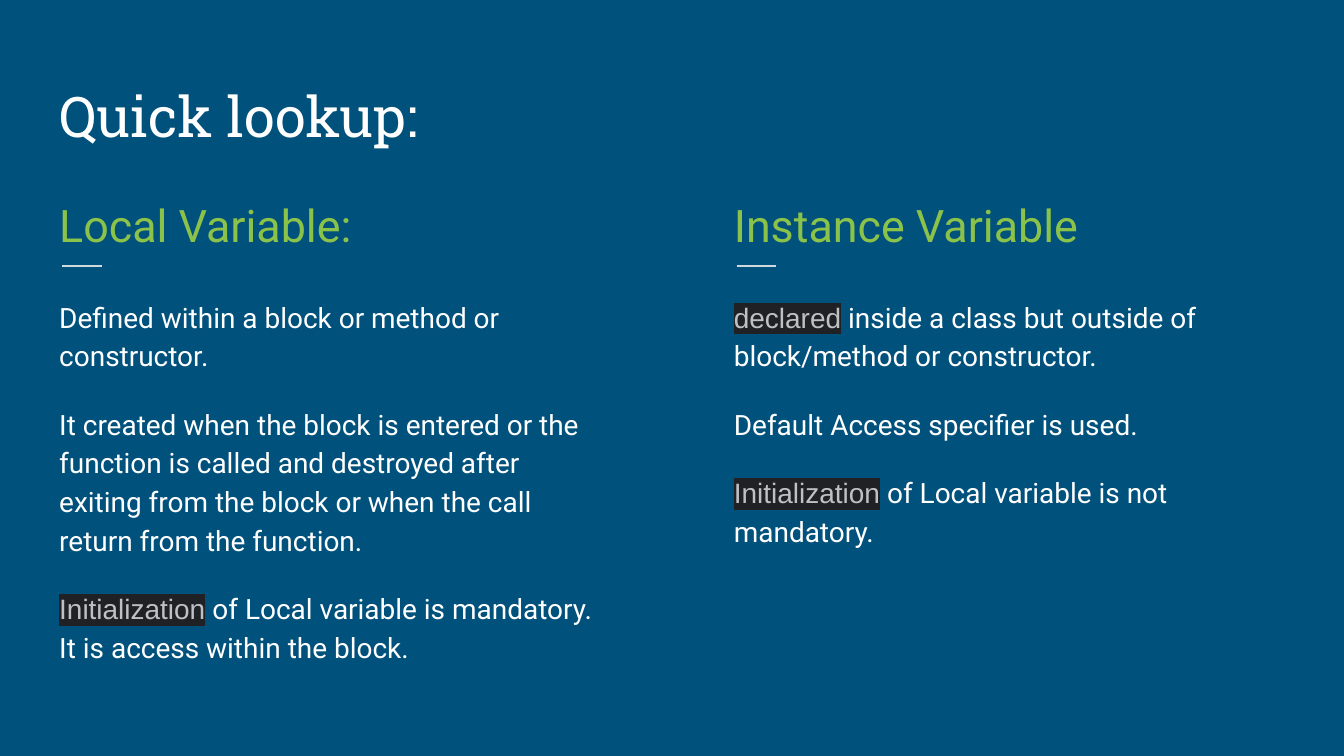
"""Build a slide that compares local and instance variables."""
import pptx
import pptx.dml.color
import pptx.enum.shapes
import pptx.enum.text
import pptx.oxml
import pptx.oxml.ns
import pptx.util
from pptx.util import Cm, Pt

RGBColor = pptx.dml.color.RGBColor
NAVY = RGBColor(0x00, 0x51, 0x7C)
WHITE = RGBColor(0xFF, 0xFF, 0xFF)
GREEN = RGBColor(0x8B, 0xC3, 0x4A)
RULE = RGBColor(0xCF, 0xD8, 0xDC)
GREY = RGBColor(0xBD, 0xC1, 0xC6)
DARK = RGBColor(0x20, 0x21, 0x24)


def set_frame(tf, anchor):
    tf.word_wrap = True
    tf.auto_size = pptx.enum.text.MSO_AUTO_SIZE.NONE
    tf.vertical_anchor = anchor
    tf.margin_left = tf.margin_right = Cm(0.25)
    tf.margin_top = tf.margin_bottom = Cm(0.25)


def add_run(p, text, size, font, color, highlight=None):
    r = p.add_run()
    r.text = text
    r.font.size = Pt(size)
    r.font.name = font
    r.font.color.rgb = color
    if highlight is not None:
        mark = pptx.oxml.parse_xml(
            f'<a:highlight {pptx.oxml.ns.nsdecls("a")}><a:srgbClr val="{highlight}"/></a:highlight>')
        r.font.fill._xPr.find(pptx.oxml.ns.qn("a:solidFill")).addnext(mark)


COLUMNS = [
    (0.87, "Local Variable:", [
        ("", "Defined within a block or method or constructor."),
        ("", "It created when the block is entered or the function is called and destroyed "
             "after exiting from the block or when the call return from the function."),
        ("Initialization", " of Local variable is mandatory. It is access within the block."),
    ]),
    (13.62, "Instance Variable", [
        ("declared", " inside a class but outside of block/method or constructor."),
        ("", "Default Access specifier is used."),
        ("Initialization", " of Local variable is not mandatory."),
    ]),
]
TOP = pptx.enum.text.MSO_ANCHOR.TOP
BOTTOM = pptx.enum.text.MSO_ANCHOR.BOTTOM

prs = pptx.Presentation()
prs.slide_width, prs.slide_height = Cm(25.4), Cm(14.29)
s = prs.slides.add_slide(prs.slide_layouts[5])
s.background.fill.solid()
s.background.fill.fore_color.rgb = NAVY

title = s.shapes.title
title.left, title.top, title.width, title.height = Cm(0.87), Cm(1.04), Cm(23.67), Cm(2.03)
set_frame(title.text_frame, BOTTOM)
p = title.text_frame.paragraphs[0]
p.alignment = pptx.enum.text.PP_ALIGN.LEFT
add_run(p, "Quick lookup:", 30, "Roboto Slab", WHITE)

for left, heading, paragraphs in COLUMNS:
    sp = s.shapes.add_textbox(Cm(left), Cm(3.33), Cm(10.69), Cm(1.45))
    set_frame(sp.text_frame, TOP)
    p = sp.text_frame.paragraphs[0]
    p.line_spacing = 1.15
    add_run(p, heading, 24, "Roboto", GREEN)

    line = s.shapes.add_connector(pptx.enum.shapes.MSO_CONNECTOR.STRAIGHT,
                                  Cm(left + 0.3), Cm(5.03), Cm(left + 1.05), Cm(5.03))
    line.line.color.rgb = RULE
    line.line.width = Pt(0.75)
    line._element.spPr.append(
        pptx.oxml.parse_xml(f'<a:effectLst {pptx.oxml.ns.nsdecls("a")}/>'))

    sp = s.shapes.add_textbox(Cm(left), Cm(5.33), Cm(10.69), Cm(7.65))
    tf = sp.text_frame
    set_frame(tf, TOP)
    for i, (marked, plain) in enumerate(paragraphs):
        p = tf.add_paragraph() if i else tf.paragraphs[0]
        p.line_spacing = 1.15
        p.space_before = Pt(16 if i else 0)
        if marked:
            add_run(p, marked, 15, "Arial", GREY, DARK)
        add_run(p, plain, 15, "Roboto", WHITE)

prs.save("out.pptx")
